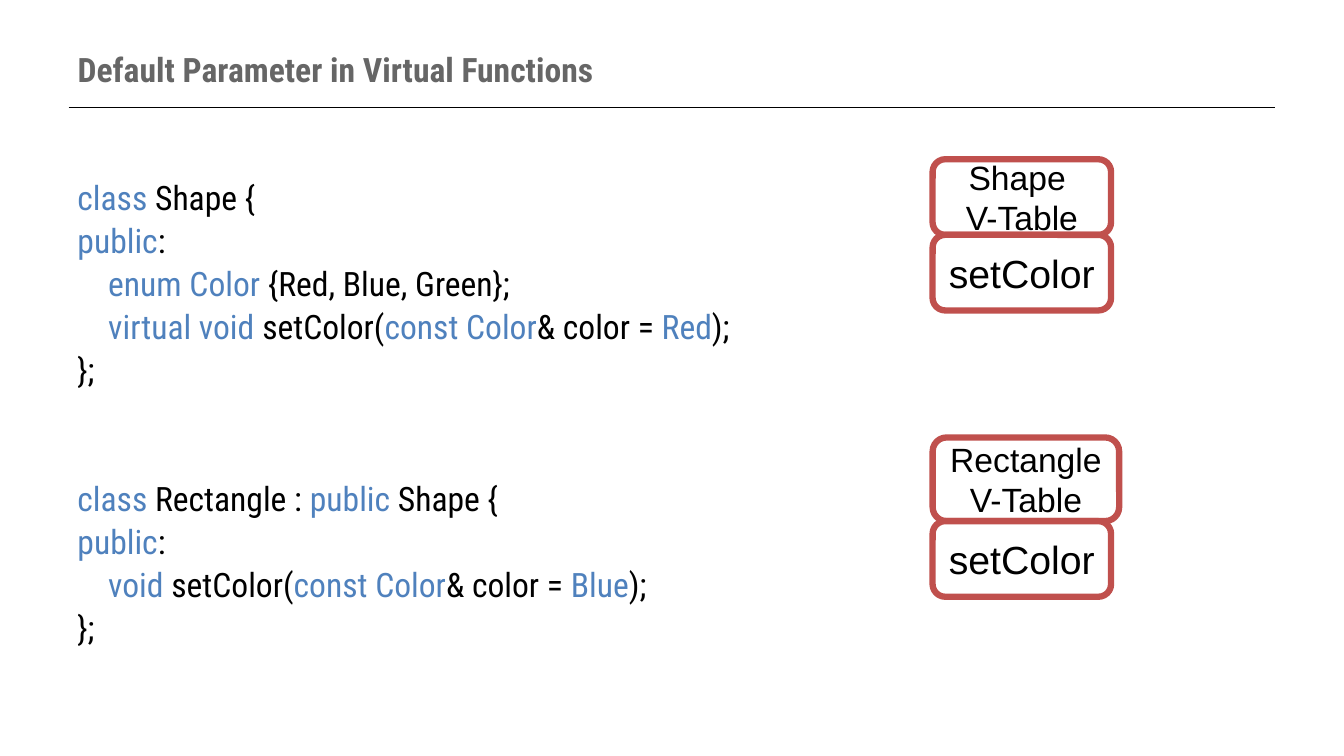
"""Slide on default parameters in virtual functions, with code and v-tables."""
from lxml import etree
from pptx import Presentation
from pptx.dml.color import RGBColor
from pptx.enum.shapes import MSO_CONNECTOR, MSO_SHAPE
from pptx.enum.text import MSO_ANCHOR, MSO_AUTO_SIZE, PP_ALIGN
from pptx.oxml.ns import qn
from pptx.util import Inches, Pt

COLORS = {"title": "666666", "keyword": "4F81BD", "text": "000000",
          "fill": "FFFFFF", "border": "C0504D"}
C = {name: RGBColor.from_string(value) for name, value in COLORS.items()}
CODE_FONT = "Roboto Condensed"


def style(font, name, size, color, bold=False):
    font.name, font.size, font.bold = name, Pt(size), bold
    font.color.rgb = C[color]


prs = Presentation()
prs.slide_width, prs.slide_height = Inches(13.33), Inches(7.5)
s = prs.slides.add_slide(prs.slide_layouts[5])

rule = s.shapes.add_connector(MSO_CONNECTOR.STRAIGHT, Inches(0.68), Inches(1.07),
                              Inches(12.65), Inches(1.07))
rule.line.color.rgb = C["text"]
rule.line.width = Pt(0.75)
etree.SubElement(rule._element.spPr, qn("a:effectLst"))

title = s.shapes.title
title.left, title.top = Inches(0.67), Inches(0.3)
title.width, title.height = Inches(12), Inches(0.77)
tf = title.text_frame
tf.text = "Default Parameter in Virtual Functions"
tf.auto_size = MSO_AUTO_SIZE.NONE
tf.vertical_anchor = MSO_ANCHOR.MIDDLE
tf.paragraphs[0].alignment = PP_ALIGN.LEFT
style(tf.paragraphs[0].runs[0].font, CODE_FONT, 24, "title", True)

# Each line alternates keyword and plain parts, split by "|".
code = [
    ("class| Shape {", 0),
    ("public|:", 4.8),
    ("    enum Color |{Red, Blue, Green};", 4.8),
    ("    virtual void |setColor(|const Color|& color = |Red|);", 4.8),
    ("|};", 4.8),
    ("class| Rectangle : |public| Shape {", 66.2),
    ("public|:", 4.8),
    ("    void |setColor(|const Color|& color = |Blue|);", 4.8),
    ("|};", 4.8),
]
box = s.shapes.add_textbox(Inches(0.67), Inches(1.75), Inches(12), Inches(4.95))
tf = box.text_frame
tf.word_wrap = True
for i, (line, space) in enumerate(code):
    p = tf.paragraphs[0] if i == 0 else tf.add_paragraph()
    p.line_spacing = 0.9
    p.space_before = Pt(space)
    for j, part in enumerate(line.split("|")):
        if part:
            r = p.add_run()
            r.text = part
            style(r.font, CODE_FONT, 24, "text" if j % 2 else "keyword")

tables = [("Shape \nV-Table", 1.58, 1.77, 0.75), ("Rectangle \nV-Table", 4.34, 1.85, 0.83)]
for heading, top, width, height in tables:
    cells = [(heading, top, width, height, 24), ("setColor", top + height, 1.77, 0.75, 28)]
    for text, y, w, h, size in cells:
        sp = s.shapes.add_shape(MSO_SHAPE.ROUNDED_RECTANGLE, Inches(9.25), Inches(y),
                                Inches(w), Inches(h))
        sp.shadow.inherit = False
        sp.fill.solid()
        sp.fill.fore_color.rgb = C["fill"]
        sp.line.color.rgb = C["border"]
        sp.line.width = Pt(4.5)
        tf = sp.text_frame
        tf.text = text
        tf.vertical_anchor = MSO_ANCHOR.MIDDLE
        for p in tf.paragraphs:
            p.alignment = PP_ALIGN.CENTER
            style(p.runs[0].font, "Arial", size, "text")

prs.save("out.pptx")
